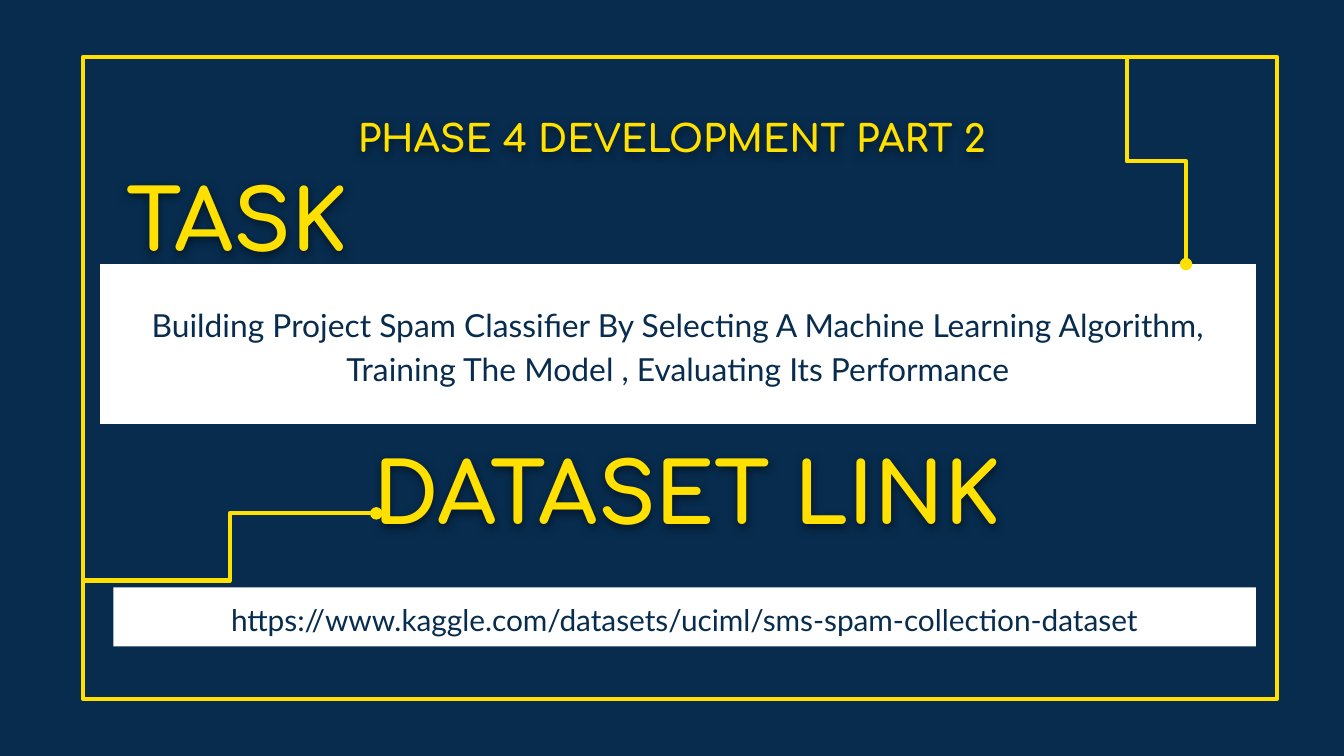
from lxml import etree
from pptx import Presentation
from pptx import util as u
from pptx.dml.color import RGBColor
from pptx.enum import shapes, text
from pptx.oxml import parse_xml
from pptx.oxml.ns import nsdecls, qn

HUE = {"navy": "072C4E", "gold": "FFE000", "white": "FFFFFF", "dark": "000000"}
WIDE = u.Inches(10)
HIGH = u.Emu(WIDE * 9 // 16)
CELL = WIDE / 100  # square grid, 100 columns across
STROKE = u.Pt(2.25)
LEFT, MID = text.PP_ALIGN.LEFT, text.PP_ALIGN.CENTER


def tint(name):
    return RGBColor.from_string(HUE[name])


def grid(*cells):
    return [u.Emu(round(n * CELL)) for n in cells]


def place(shape, box):
    shape.left, shape.top, shape.width, shape.height = grid(*box)


def write(shape, words, align, space, style):
    """Fill a shape with one paragraph and return its run."""
    frame = shape.text_frame
    inset = u.Inches(0.1)
    look = dict(word_wrap=True, auto_size=text.MSO_AUTO_SIZE.NONE,
                vertical_anchor=text.MSO_ANCHOR.MIDDLE,
                margin_left=inset, margin_right=inset,
                margin_top=inset, margin_bottom=inset)
    for key, value in look.items():
        setattr(frame, key, value)
    para = frame.paragraphs[0]
    para.alignment, para.line_spacing = align, space
    run = para.add_run()
    run.text = words
    for key, value in style.items():
        setattr(run.font, key, value)
    return run


def block(slide, box, hue):
    """Add a plain filled rectangle."""
    shape = slide.shapes.add_shape(shapes.MSO_SHAPE.RECTANGLE, *grid(*box))
    shape.shadow.inherit = False
    shape.fill.solid()
    shape.fill.fore_color.rgb = tint(hue)
    shape.line.fill.background()
    return shape


def stroke(line):
    line.color.rgb = tint("gold")
    line.width = STROKE
    etree.SubElement(line._ln, qn("a:round"))


def border(slide, box):
    shape = block(slide, box, "navy")
    stroke(shape.line)
    slide.shapes._spTree.insert(2, shape._element)  # behind the title


def heading(shape, box, words, size, align=MID):
    """Gold heading with a soft shadow behind its letters."""
    place(shape, box)
    run = write(shape, words, align, 1.0,
                dict(name="Comfortaa", size=u.Pt(size), bold=True))
    run.font.color.rgb = tint("gold")
    shape.fill.background()
    shape._element.spPr.append(parse_xml(
        f'<a:effectLst {nsdecls("a")}><a:outerShdw blurRad="57150" dist="19050" '
        f'dir="5400000" algn="bl" rotWithShape="0"><a:srgbClr val="{HUE["dark"]}">'
        '<a:alpha val="50000"/></a:srgbClr></a:outerShdw></a:effectLst>'))


def panel(slide, box, words, size):
    shape = block(slide, box, "white")
    run = write(shape, words, MID, 1.15, dict(name="Lato", size=u.Pt(size)))
    run.font.color.rgb = tint("navy")


def elbow(slide, box, turn=0):
    """Bent line from the box's top right to its bottom left, then turned."""
    x, y, w, h = box
    link = slide.shapes.add_connector(
        shapes.MSO_CONNECTOR.ELBOW, *grid(x + w, y, x, y + h))
    stroke(link.line)
    etree.SubElement(link.line._ln, qn("a:headEnd"), type="oval")
    props = link._element.spPr
    etree.SubElement(props, qn("a:effectLst"))
    if turn:
        props.find(qn("a:xfrm")).set("rot", str(turn * 60000))


def main():
    deck = Presentation()
    deck.slide_width, deck.slide_height = WIDE, HIGH
    slide = deck.slides.add_slide(deck.slide_layouts[5])
    slide.background.fill.solid()
    slide.background.fill.fore_color.rgb = tint("navy")

    border(slide, (6.2, 4.23, 88.8, 47.8))
    size = (51.4, 8.4)
    heading(slide.shapes.title, (24.3, 6.05, *size),
            "PHASE 4 DEVELOPMENT PART 2", 20)
    for spot, words, align in (((8.4, 12), "TASK", LEFT),
                               ((25.4, 32.3), "DATASET LINK", MID)):
        box = (*spot, *size)
        heading(slide.shapes.add_textbox(*grid(*box)), box, words, 45, align)

    panel(slide, (7.45, 19.65, 86, 11.9),
          "Building Project Spam Classifier By Selecting A Machine Learning "
          "Algorithm, Training The Model , Evaluating Its Performance", 17)
    panel(slide, (8.45, 43.7, 85, 4.4),
          "https://www.kaggle.com/datasets/uciml/sms-spam-collection-dataset", 16)

    elbow(slide, (6.2, 38.2, 21.8, 5))
    elbow(slide, (78.4, 9.8, 15.3, 4.4), turn=90)
    deck.save("out.pptx")


if __name__ == "__main__":
    main()
